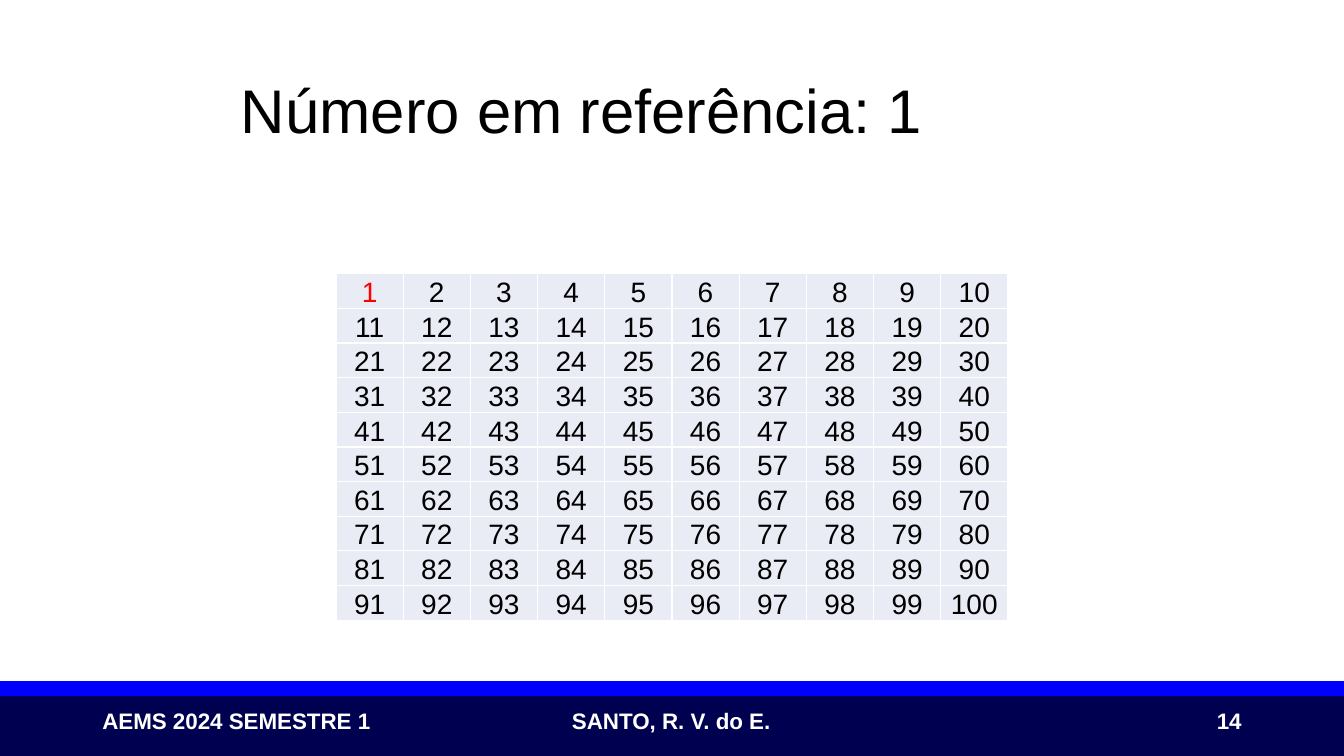
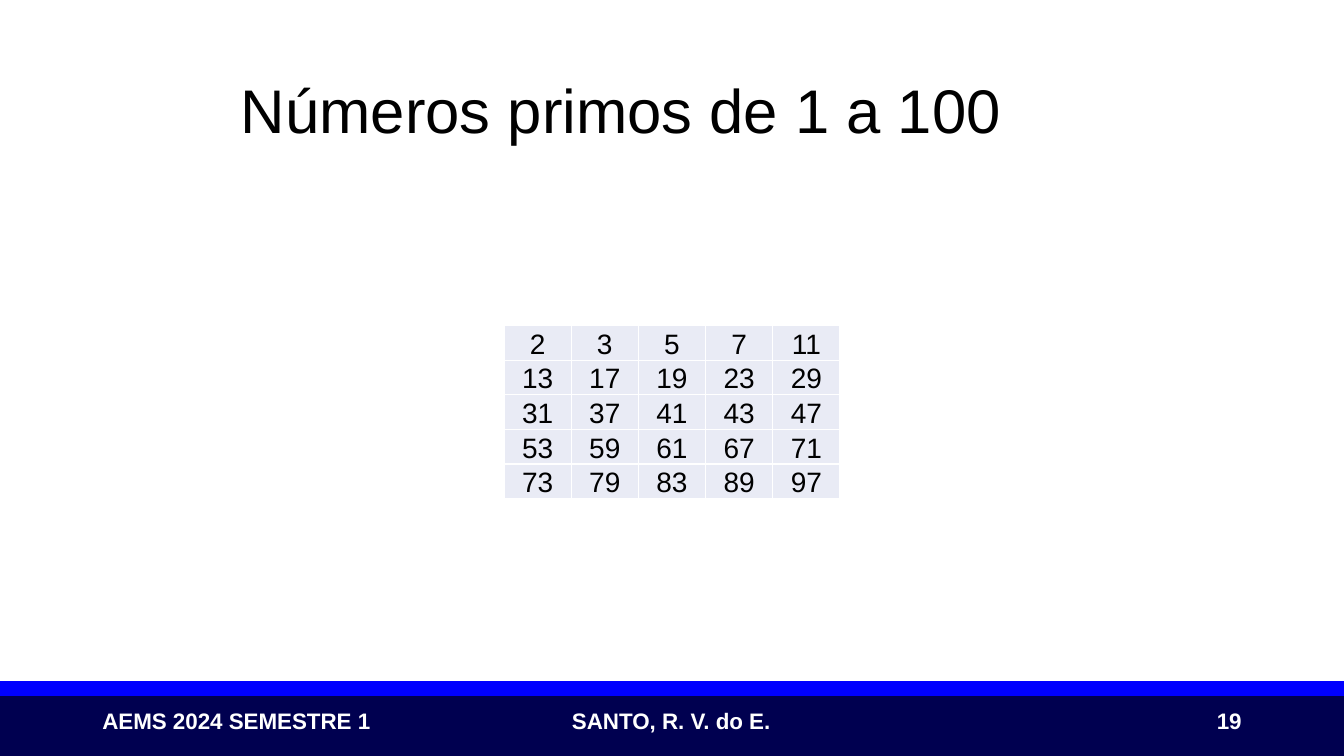
from dataclasses import dataclass

from lxml.etree import SubElement
from pptx import Presentation
from pptx.dml.color import RGBColor
from pptx.enum.shapes import MSO_SHAPE
from pptx.enum.text import MSO_ANCHOR, PP_ALIGN
from pptx.oxml.ns import qn
from pptx.slide import Slide
from pptx.table import _Cell
from pptx.text.text import _Paragraph
from pptx.util import Pt

NAVY = RGBColor(0x00, 0x00, 0x50)
BLUE = RGBColor(0x00, 0x00, 0xFF)
WHITE = RGBColor(0xFF, 0xFF, 0xFF)
BLACK = RGBColor(0x00, 0x00, 0x00)
RED = RGBColor(0xFF, 0x00, 0x00)
PALE = RGBColor(0xE9, 0xEB, 0xF5)

FONT = "Arial"
WIDTH, HEIGHT = 960, 540
COL, ROW = 48, 23


@dataclass(frozen=True)
class Band:
    top: float
    height: float
    color: RGBColor


@dataclass(frozen=True)
class Label:
    left: float
    top: float
    width: float
    height: float
    size: int = 16
    color: RGBColor = WHITE
    bold: bool = True
    wrap: bool = True
    align: PP_ALIGN = PP_ALIGN.LEFT
    anchor: MSO_ANCHOR = MSO_ANCHOR.MIDDLE
    spacing: float = 1.0


@dataclass(frozen=True)
class Page:
    title: str
    number: int
    values: list[int]
    cols: int
    top: float
    marked: frozenset[int] = frozenset()


BANDS = (Band(496.8, 43.2, NAVY), Band(486.72, 10.08, BLUE))
TITLE = Label(165, 28.8, 728.6, 104.4, 44, BLACK, False, spacing=0.9)
NUMBER = Label(678, 500.4, 216, 28.8, align=PP_ALIGN.RIGHT)
FOOTERS = (
    ("AEMS 2024 SEMESTRE 1",
     Label(66, 501.8, 208, 26.6, wrap=False, anchor=MSO_ANCHOR.TOP)),
    ("SANTO, R. V. do E.",
     Label(401.5, 501.5, 158.4, 26.6, wrap=False, anchor=MSO_ANCHOR.TOP)),
)


def is_prime(n: int) -> bool:
    return n > 1 and all(n % k for k in range(2, int(n ** 0.5) + 1))


PAGES = (
    Page("Número em referência: 1", 14, list(range(1, 101)), 10, 195.5,
         frozenset({1})),
    Page("Números primos de 1 a 100", 19,
         [n for n in range(1, 101) if is_prime(n)], 5, 232.5),
)


def add_run(para: _Paragraph, text: str, size: int, color: RGBColor,
            bold: bool = False) -> None:
    run = para.add_run()
    run.text = text
    run.font.name = FONT
    run.font.size = Pt(size)
    run.font.bold = bold
    run.font.color.rgb = color


def add_band(slide: Slide, band: Band) -> None:
    shape = slide.shapes.add_shape(
        MSO_SHAPE.RECTANGLE, 0, Pt(band.top), Pt(WIDTH), Pt(band.height))
    shape.shadow.inherit = False
    shape.fill.solid()
    shape.fill.fore_color.rgb = band.color
    shape.line.color.rgb = band.color
    shape.line.width = Pt(1)


def add_label(slide: Slide, text: str, label: Label) -> None:
    box = slide.shapes.add_textbox(
        Pt(label.left), Pt(label.top), Pt(label.width), Pt(label.height))
    frame = box.text_frame
    frame.word_wrap = label.wrap
    frame.vertical_anchor = label.anchor
    para = frame.paragraphs[0]
    para.alignment = label.align
    para.line_spacing = label.spacing
    add_run(para, text, label.size, label.color, label.bold)


def add_edges(cell: _Cell) -> None:
    props = cell._tc.get_or_add_tcPr()
    for side in ("a:lnL", "a:lnR", "a:lnT", "a:lnB"):
        line = SubElement(props, qn(side), w=str(Pt(1)))
        fill = SubElement(line, qn("a:solidFill"))
        SubElement(fill, qn("a:srgbClr"), val=str(WHITE))


def fill_cell(cell: _Cell, text: str, color: RGBColor) -> None:
    add_edges(cell)
    cell.fill.solid()
    cell.fill.fore_color.rgb = PALE
    cell.margin_left = cell.margin_right = cell.margin_top = Pt(0.72)
    cell.margin_bottom = 0
    cell.vertical_anchor = MSO_ANCHOR.BOTTOM
    para = cell.text_frame.paragraphs[0]
    para.alignment = PP_ALIGN.CENTER
    add_run(para, text, 20, color)


def add_grid(slide: Slide, page: Page) -> None:
    rows = len(page.values) // page.cols
    width = page.cols * COL
    table = slide.shapes.add_table(
        rows, page.cols, Pt((WIDTH - width) / 2), Pt(page.top),
        Pt(width), Pt(rows * ROW)).table
    table.first_row = False
    table.horz_banding = False
    for col in table.columns:
        col.width = Pt(COL)
    for row in table.rows:
        row.height = Pt(ROW)
    for index, value in enumerate(page.values):
        color = RED if value in page.marked else BLACK
        fill_cell(table.cell(*divmod(index, page.cols)), str(value), color)


def add_page(deck: Presentation, page: Page) -> None:
    slide = deck.slides.add_slide(deck.slide_layouts[6])
    for band in BANDS:
        add_band(slide, band)
    for text, label in FOOTERS:
        add_label(slide, text, label)
    add_label(slide, page.title, TITLE)
    add_label(slide, str(page.number), NUMBER)
    add_grid(slide, page)


def main() -> None:
    deck = Presentation()
    deck.slide_width = Pt(WIDTH)
    deck.slide_height = Pt(HEIGHT)
    for page in PAGES:
        add_page(deck, page)
    deck.save("out.pptx")


if __name__ == "__main__":
    main()
